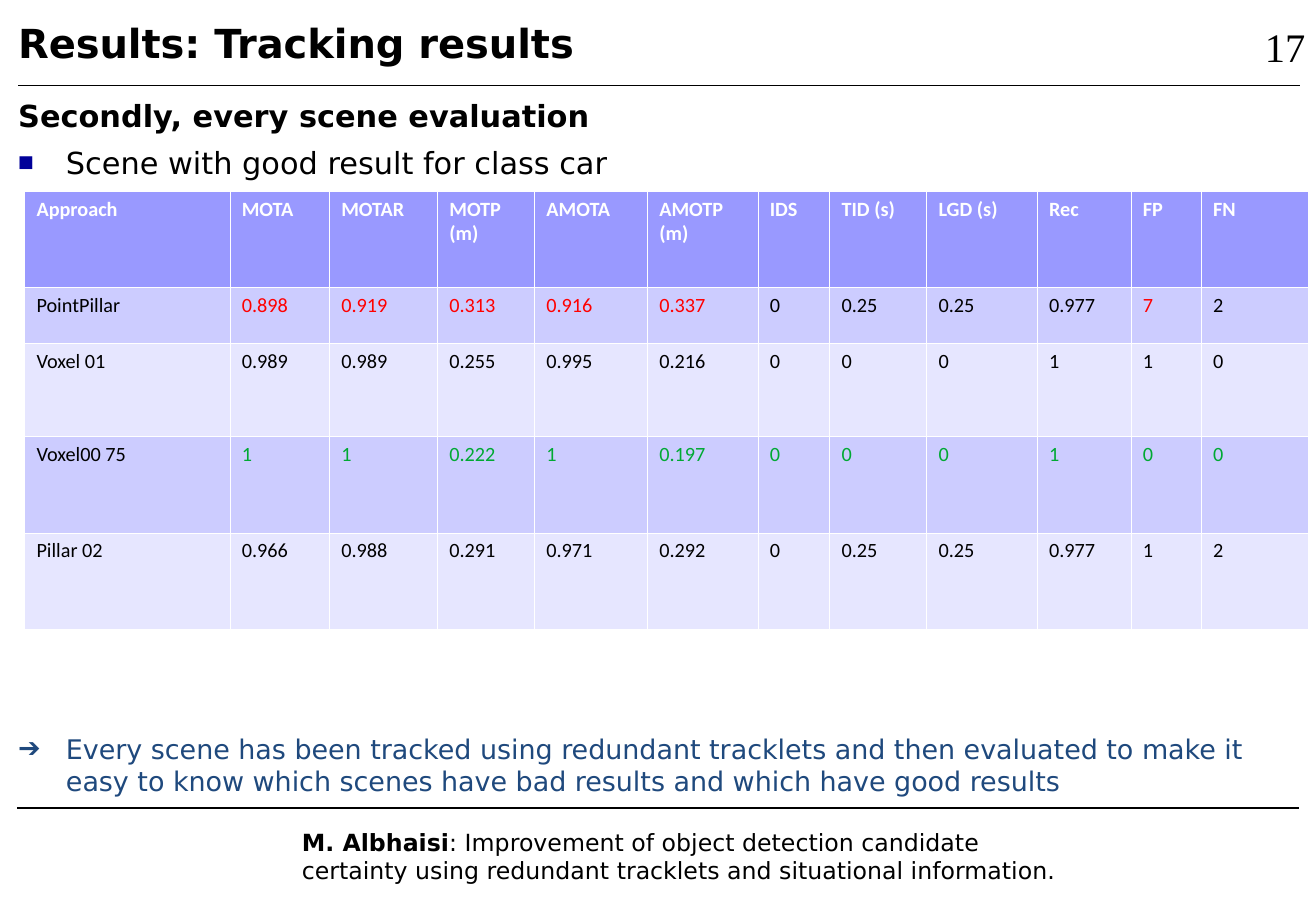
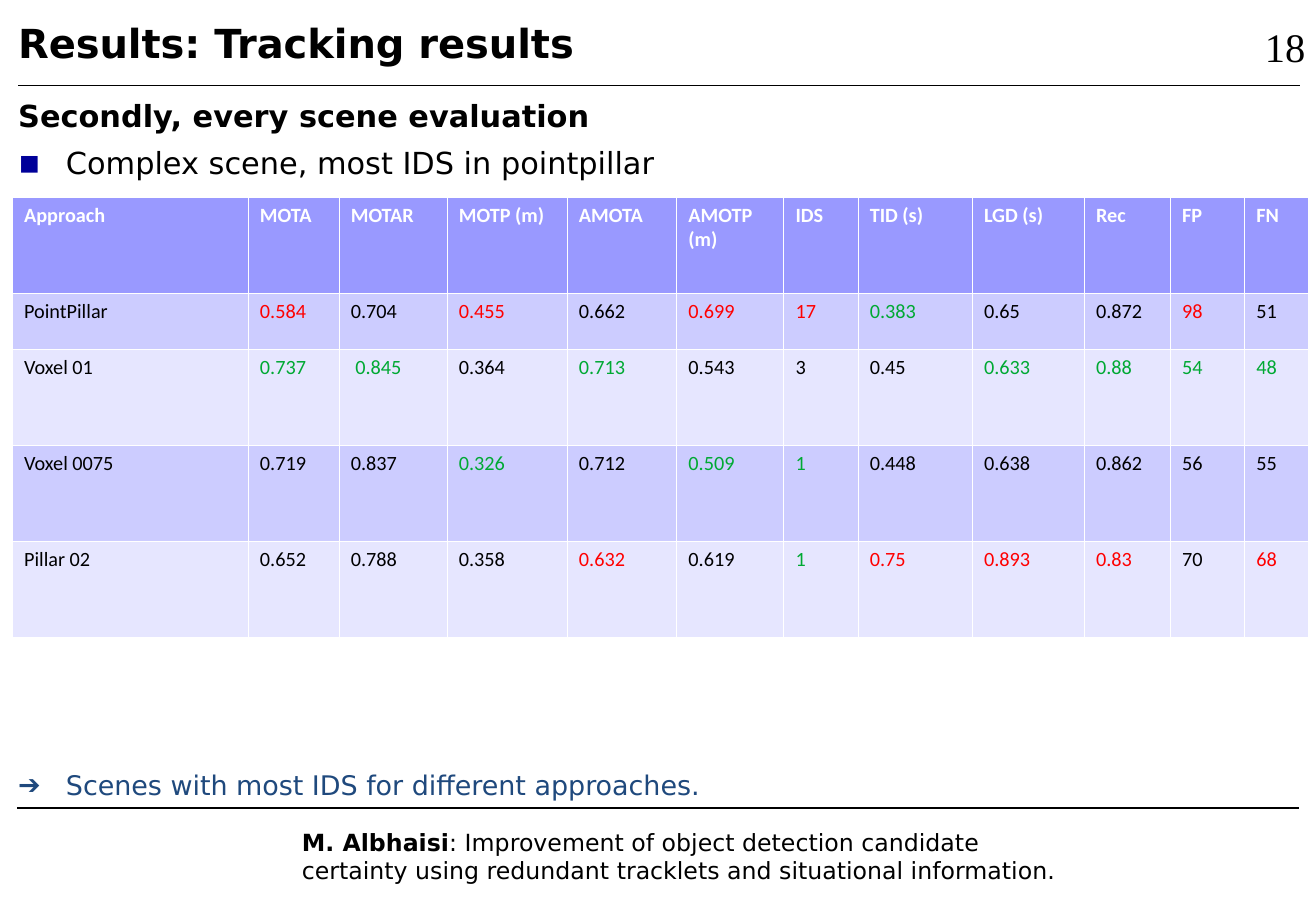
"""Build two slides with tracking results per scene."""
import pptx
import pptx.dml.color
import pptx.enum.shapes
import pptx.enum.text
import pptx.oxml.ns
import pptx.util
import lxml.etree

Cm = pptx.util.Cm
qn = pptx.oxml.ns.qn


class Theme:
    black, white = "000000", "FFFFFF"
    red, green = "FF0000", "00A933"
    navy, blue = "000099", "1F497D"
    head, dark, light = "9999FF", "CCCCFF", "E6E6FF"
    sans, grid, serif = "DejaVu Sans", "Calibri", "Times New Roman"
    title, number, body, note, foot, cell = 23.7, 24, 18, 16, 14, 12
    border = 762


def style(para, size, color=Theme.black, bold=False, font=Theme.sans):
    for run in para.runs:
        run.font.size = pptx.util.Pt(size)
        run.font.name = font
        run.font.bold = bold
        run.font.color.rgb = pptx.dml.color.RGBColor.from_string(color)


def box(page, area, text, size, **look):
    frame = page.shapes.add_textbox(*map(Cm, area)).text_frame
    frame.word_wrap = True
    frame.text = text
    for para in frame.paragraphs:
        style(para, size, **look)
    return frame


heads = "Approach|MOTA|MOTAR|MOTP (m)|AMOTA|AMOTP\n(m)|IDS|TID (s)|LGD (s)|Rec|FP|FN"
marks = {"-": Theme.red, "+": Theme.green}
scenes = [
    dict(
        number="17",
        scene="Scene with good result for class car",
        bullet=("■", 55),
        note="Every scene has been tracked using redundant tracklets and then evaluated "
             "to make it easy to know which scenes have bad results and which have good results",
        note_area=(0.13, 15.19, 26.54, 1.6),
        left=0.51, top=3.99,
        cols=[4.29, 2.08, 2.26, 2.03, 2.36, 2.31, 1.5, 2.03, 2.31, 1.96, 1.47, 2.24],
        rows=[2.01, 1.17, 1.96, 2.01, 2.01],
        data=[
            "PointPillar|0.898-|0.919-|0.313-|0.916-|0.337-|0|0.25|0.25|0.977|7-|2",
            "Voxel 01|0.989|0.989|0.255|0.995|0.216|0|0|0|1|1|0",
            "Voxel00 75|1+|1+|0.222+|1+|0.197+|0+|0+|0+|1+|0+|0+",
            "Pillar 02|0.966|0.988|0.291|0.971|0.292|0|0.25|0.25|0.977|1|2",
        ],
    ),
    dict(
        number="18",
        scene="Complex scene, most IDS in pointpillar",
        bullet=("▪", 110),
        note="Scenes with most IDS for different approaches.",
        note_area=(0.13, 15.95, 26.54, 0.91),
        left=0.25, top=4.12,
        cols=[4.93, 1.9, 2.26, 2.51, 2.29, 2.24, 1.55, 2.39, 2.34, 1.8, 1.55, 1.34],
        rows=[2.01, 1.17, 2.01, 2.01, 2.01],
        data=[
            "PointPillar|0.584-|0.704|0.455-|0.662|0.699-|17-|0.383+|0.65|0.872|98-|51",
            "Voxel 01|0.737+| 0.845+|0.364|0.713+|0.543|3|0.45|0.633+|0.88+|54+|48+",
            "Voxel 0075|0.719|0.837|0.326+|0.712|0.509+|1+|0.448|0.638|0.862|56|55",
            "Pillar 02|0.652|0.788|0.358|0.632-|0.619|1+|0.75-|0.893-|0.83-|70|68-",
        ],
    ),
]

deck = pptx.Presentation()
deck.slide_width, deck.slide_height = Cm(27.51), Cm(19.05)

for scene in scenes:
    page = deck.slides.add_slide(deck.slide_layouts[6])

    for left, top, width in [(0.38, 1.78, 0.75), (0.36, 16.89, 1)]:
        rule = page.shapes.add_connector(
            pptx.enum.shapes.MSO_CONNECTOR.STRAIGHT,
            Cm(left), Cm(top), Cm(left + 26.8), Cm(top))
        rule.line.width = pptx.util.Pt(width)
        rule.line.color.rgb = pptx.dml.color.RGBColor.from_string(Theme.black)
        lxml.etree.SubElement(rule.element.spPr, qn("a:effectLst"))

    foot = box(page, (6.06, 17.18, 16.81, 1.42), "M. Albhaisi", Theme.foot).paragraphs[0]
    foot.add_run().text = (": Improvement of object detection candidate certainty "
                           "using redundant tracklets and situational information.")
    style(foot, Theme.foot)
    foot.runs[0].font.bold = True

    title = box(page, (0.13, 0.25, 24.77, 1.27), "Results: Tracking results", Theme.title, bold=True)
    title.vertical_anchor = pptx.enum.text.MSO_ANCHOR.MIDDLE

    body = box(page, (0.13, 1.91, 27.03, 14.02),
               "Secondly, every scene evaluation\n" + scene["scene"], Theme.body)
    first, second = body.paragraphs
    style(first, Theme.body, bold=True)
    first.space_before = pptx.util.Pt(6)
    note = box(page, scene["note_area"], scene["note"], Theme.note, color=Theme.blue).paragraphs[0]

    for para, sign, size, color in [(second, *scene["bullet"], Theme.navy),
                                    (note, "➔", 100, Theme.blue)]:
        para.space_before = pptx.util.Pt(6)
        props = para._p.get_or_add_pPr()
        props.set("marL", str(Cm(1)))
        props.set("indent", str(-Cm(1)))
        tint = lxml.etree.SubElement(props, qn("a:buClr"))
        lxml.etree.SubElement(tint, qn("a:srgbClr"), val=color)
        lxml.etree.SubElement(props, qn("a:buSzPct"), val=str(size * 1000))
        lxml.etree.SubElement(props, qn("a:buFont"), typeface=Theme.sans)
        lxml.etree.SubElement(props, qn("a:buChar"), char=sign)

    lines = [heads] + scene["data"]
    cols, rows = scene["cols"], scene["rows"]
    table = page.shapes.add_table(
        len(rows), len(cols), Cm(scene["left"]), Cm(scene["top"]),
        Cm(sum(cols)), Cm(sum(rows))).table
    for col, width in zip(table.columns, cols):
        col.width = Cm(width)
    for r, (line, height) in enumerate(zip(lines, rows)):
        table.rows[r].height = Cm(height)
        fill = Theme.head if r == 0 else Theme.dark if r % 2 else Theme.light
        for c, text in enumerate(line.split("|")):
            cell = table.cell(r, c)
            color = marks.get(text[-1], Theme.black if r else Theme.white)
            cell.text_frame.text = text.rstrip("+-")
            for para in cell.text_frame.paragraphs:
                style(para, Theme.cell, color, r == 0, Theme.grid)
            props = cell._tc.get_or_add_tcPr()
            for side in "LRTB":
                edge = lxml.etree.SubElement(props, qn("a:ln" + side), w=str(Theme.border))
                paint = lxml.etree.SubElement(edge, qn("a:solidFill"))
                lxml.etree.SubElement(paint, qn("a:srgbClr"), val=Theme.white)
            cell.fill.solid()
            cell.fill.fore_color.rgb = pptx.dml.color.RGBColor.from_string(fill)

    number = box(page, (26.19, 0.33, 1.32, 1.19), scene["number"], Theme.number, font=Theme.serif)
    number.margin_right = 0

deck.save("out.pptx")
